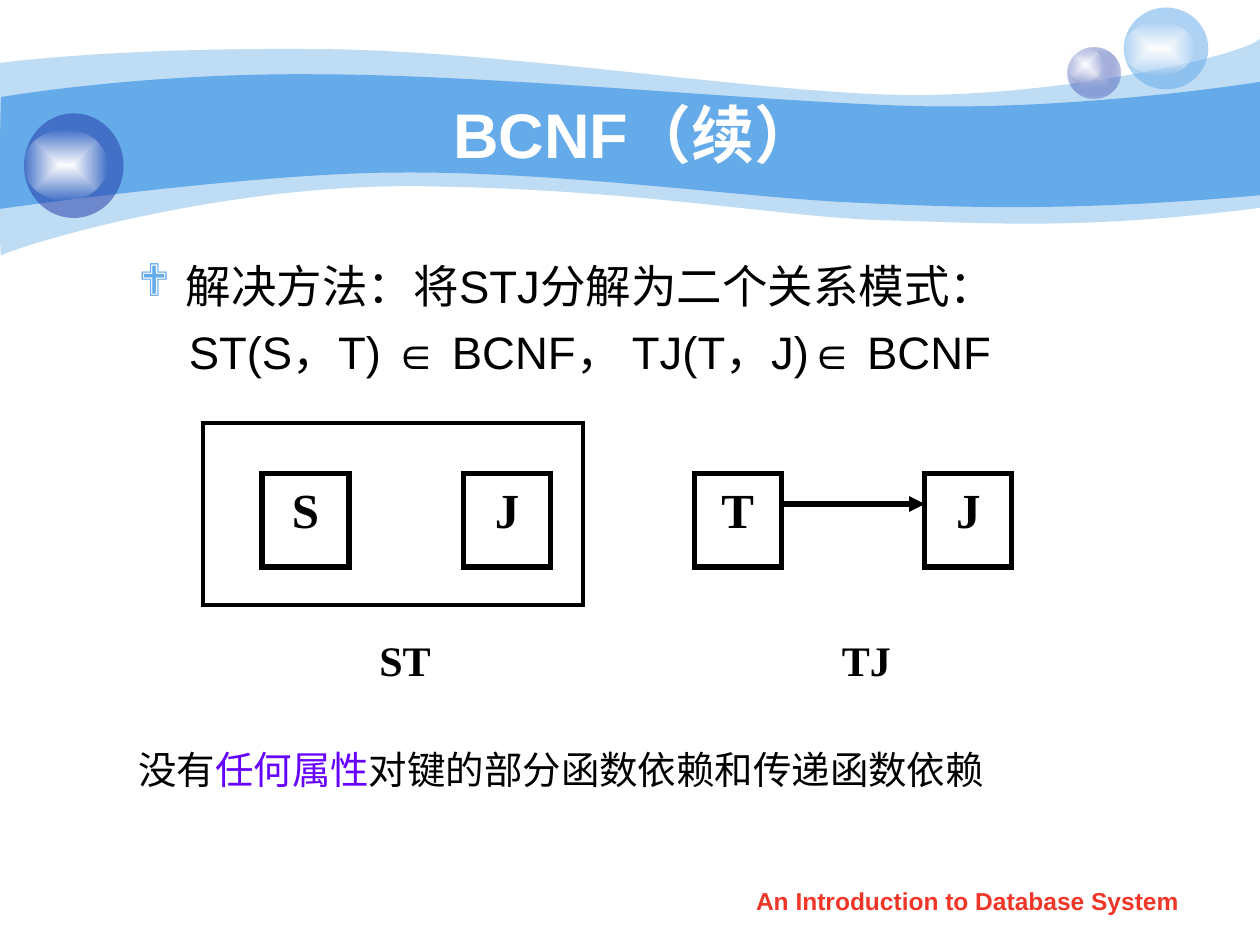
from dataclasses import dataclass
from typing import NamedTuple

import pptx
import pptx.dml.color
import pptx.enum.shapes
import pptx.enum.text
import pptx.oxml
import pptx.oxml.ns
import pptx.util
from lxml import etree

CELL = pptx.util.Inches(0.1)
COLS, ROWS = 100, 75
A = pptx.oxml.ns.nsdecls("a")
qn = pptx.oxml.ns.qn
ALIGN = pptx.enum.text.PP_ALIGN
ANCHOR = pptx.enum.text.MSO_ANCHOR
SHAPE = pptx.enum.shapes.MSO_SHAPE


@dataclass(frozen=True)
class Theme:
    sky: str = "65AAE9"
    navy: str = "233DA9"
    mist: str = "C7CEE9"
    white: str = "FFFFFF"
    black: str = "000000"
    accent: str = "6600FF"
    red: str = "F03628"
    sans: str = "Arial"
    serif: str = "Times New Roman"
    symbols: str = "Wingdings"
    title: float = 36
    node: float = 28
    body: float = 26
    label: float = 24
    note: float = 22
    footer: float = 14


class Box(NamedTuple):
    """Left, top, width and height in grid columns and rows."""
    x: float
    y: float
    w: float
    h: float

    def emu(self) -> list[int]:
        return [round(v * CELL) for v in self]


class Stop(NamedTuple):
    color: str
    opacity: float = 100


class Ball(NamedTuple):
    box: Box
    stops: tuple[Stop, ...]
    glow: Box


class Label(NamedTuple):
    text: str
    box: Box


T = Theme()
GLOW = (Stop(T.white), Stop(T.white, 0))

# Each wave is a start point, then cubic curves (six numbers) or lines (two).
PALE_WAVE = (
    (0, 5), (2.4, 4.7, 10.7, 3.8, 24.7, 3.9), (38.6, 3.9, 57.5, 7, 69.9, 7.5),
    (82.2, 8, 98, 4.7, 100, 3.1), (100, 16.5),
    (85.8, 18.3, 78.7, 17.7, 70.5, 17.5), (62.2, 17.3, 51.5, 15.1, 34.3, 14.8),
    (17.2, 14.4, 0.4, 19.9, 0.1, 20.3), (-0.1, 20.8, 0, 7.5, 0, 5))
BLUE_WAVE = (
    (0.1, 7.7), (0.2, 7.7, 11, 5.8, 24.8, 5.9), (38.6, 5.9, 59.5, 8, 71.8, 8.4),
    (84.1, 8.8, 97.6, 6.9, 100, 6.5), (100, 15.5),
    (85.3, 16.8, 76.5, 16.5, 68.2, 16.1), (59.9, 15.8, 44.7, 13.6, 31.7, 13.7),
    (20.3, 13.7, -0.2, 16.6, -0.1, 16.6), (0, 16.6, 0, 7.7, 0.1, 7.7))
BALLS = (
    Ball(Box(84.7, 3.8, 4.2, 4), (Stop(T.mist), Stop(T.navy, 31)),
         Box(84.7, 3.8, 2.8, 2.7)),
    Ball(Box(89.2, 0.6, 6.7, 6.5), (Stop(T.sky, 53),), Box(89.2, 1.7, 5.6, 4.3)),
    Ball(Box(1.9, 9, 7.9, 8.3), (Stop(T.navy, 53),), Box(1.9, 10.3, 6.6, 5.6)))
NODES = [Label(name, Box(x, 37.6, 6.9, 7.4))
         for name, x in (("S", 20.8), ("J", 36.8), ("T", 55.1), ("J", 73.4))]
CAPTIONS = [Label(name, Box(x, 49.9, 9.1, 7.4))
            for name, x in (("ST", 27.6), ("TJ", 64.2))]


def rgb(color: str) -> pptx.dml.color.RGBColor:
    return pptx.dml.color.RGBColor.from_string(color)


def paint(sp, stops: tuple[Stop, ...]) -> None:
    """Fill with one colour, or with a gradient from the centre outwards."""
    colors = [f'<a:srgbClr val="{c}"><a:alpha val="{round(a * 1000)}"/></a:srgbClr>'
              for c, a in stops]
    if len(stops) == 1:
        xml = f"<a:solidFill {A}>{colors[0]}</a:solidFill>"
    else:
        inner = "".join(f'<a:gs pos="{i * 100000}">{c}</a:gs>'
                        for i, c in enumerate(colors))
        xml = (f'<a:gradFill {A} rotWithShape="1"><a:gsLst>{inner}</a:gsLst>'
               '<a:path path="rect"><a:fillToRect l="50000" t="50000" r="50000" '
               'b="50000"/></a:path></a:gradFill>')
    sp.fill.solid()
    old = sp._element.spPr.find(qn("a:solidFill"))
    old.getparent().replace(old, pptx.oxml.parse_xml(xml))
    sp.line.fill.background()
    sp.shadow.inherit = False


def add_wave(s, wave: tuple, stop: Stop) -> None:
    """Lay out all points as lines, then join each three into a cubic curve."""
    start, *parts = wave
    fb = s.shapes.build_freeform(*start, scale=CELL / 100)
    fb = s.shapes.build_freeform(*(round(v * 100) for v in start), scale=CELL / 100)
    fb.add_line_segments([(round(part[i] * 100), round(part[i + 1] * 100))
                          for part in parts for i in range(0, len(part), 2)])
    sp = fb.convert_to_shape()
    lines = iter(list(sp._element.iter(qn("a:lnTo"))))
    for part in parts:
        first, *rest = [next(lines) for _ in range(len(part) // 2)]
        if rest:
            curve = etree.Element(qn("a:cubicBezTo"))
            first.addprevious(curve)
            for line in (first, *rest):
                curve.append(line[0])
                line.getparent().remove(line)
    paint(sp, (stop,))


def add_ellipse(s, box: Box, stops: tuple[Stop, ...]) -> None:
    paint(s.shapes.add_shape(SHAPE.OVAL, *box.emu()), stops)


def add_frame(s, box: Box, width: float):
    sp = s.shapes.add_shape(SHAPE.RECTANGLE, *box.emu())
    sp.fill.background()
    sp.line.color.rgb = rgb(T.black)
    sp.line.width = pptx.util.Pt(width)
    etree.SubElement(sp.line._get_or_add_ln(), qn("a:miter"), lim="800000")
    sp.shadow.inherit = False
    return sp


def add_text_box(s, box: Box):
    return s.shapes.add_textbox(*box.emu())


def write(sp, *runs: str | tuple[str, str], size: float, font: str = T.sans,
          color: str = T.black, bold: bool = False, align=ALIGN.LEFT,
          anchor=ANCHOR.TOP, before: float = 0, margin: float = 0,
          bullet: str = "", more: bool = False) -> None:
    """Write one paragraph; a run is text or (text, colour), more appends."""
    tf = sp.text_frame
    tf.word_wrap, tf.vertical_anchor = True, anchor
    p = tf.add_paragraph() if more else tf.paragraphs[0]
    p.alignment = align
    if before:
        p.space_before = pptx.util.Pt(before)
    pPr = p._p.get_or_add_pPr()
    if margin:
        pPr.set("marL", str(round(margin * CELL)))
    if bullet:
        pPr.set("indent", str(-round(margin * CELL)))
        for xml in (f'<a:buClr {A}><a:srgbClr val="{T.sky}"/></a:buClr>',
                    f'<a:buFont {A} typeface="{T.symbols}"/>',
                    f'<a:buChar {A} char="{bullet}"/>'):
            pPr.append(pptx.oxml.parse_xml(xml))
    for run in runs:
        text, run_color = (run, color) if isinstance(run, str) else run
        r = p.add_run()
        r.text = text
        r.font.size, r.font.name, r.font.bold = pptx.util.Pt(size), font, bold
        r.font.color.rgb = rgb(run_color)


def add_arrow(s, x1: float, x2: float, y: float) -> None:
    ends = [round(v * CELL) for v in (x1, y, x2, y)]
    cx = s.shapes.add_connector(pptx.enum.shapes.MSO_CONNECTOR.STRAIGHT, *ends)
    cx.line.color.rgb = rgb(T.black)
    cx.line.width = pptx.util.Pt(3)
    etree.SubElement(cx.line._get_or_add_ln(), qn("a:tailEnd"), type="triangle")
    etree.SubElement(cx._element.spPr, qn("a:effectLst"))


def main() -> None:
    prs = pptx.Presentation()
    prs.slide_width, prs.slide_height = COLS * CELL, ROWS * CELL
    s = prs.slides.add_slide(prs.slide_layouts[6])
    add_wave(s, PALE_WAVE, Stop(T.sky, 41))
    add_wave(s, BLUE_WAVE, Stop(T.sky))
    for ball in BALLS:
        add_ellipse(s, ball.box, ball.stops)
        add_ellipse(s, ball.glow, GLOW)

    centred = dict(bold=True, align=ALIGN.CENTER)
    write(add_text_box(s, Box(57.1, 69.8, 39.4, 3.5)),
          "An Introduction to Database System", size=T.footer, color=T.red, **centred)
    write(add_text_box(s, Box(10, 7.5, 80.8, 6.2)), "BCNF（续）", size=T.title,
          color=T.white, anchor=ANCHOR.MIDDLE, **centred)
    body = add_text_box(s, Box(10, 20, 85, 45))
    write(body, "解决方法：将STJ分解为二个关系模式：", size=T.body, margin=3.75,
          bullet="❖")
    write(body, "ST(S，T) ∈ BCNF， TJ(T，J)∈ BCNF", size=T.body, margin=4,
          before=6.5, more=True)
    write(body, "没有", ("任何属性", T.accent), "对键的部分函数依赖和传递函数依赖",
          size=T.note, before=210, more=True)

    for node in NODES:
        write(add_frame(s, node.box, 3), node.text, size=T.node, font=T.serif, **centred)
    for caption in CAPTIONS:
        write(add_text_box(s, caption.box), caption.text, size=T.label,
              font=T.serif, **centred)
    source, target = NODES[2].box, NODES[3].box
    add_arrow(s, source.x + source.w, target.x, 40)
    add_frame(s, Box(16.1, 33.55, 30.15, 14.5), 2.25)
    prs.save("out.pptx")


if __name__ == "__main__":
    main()
